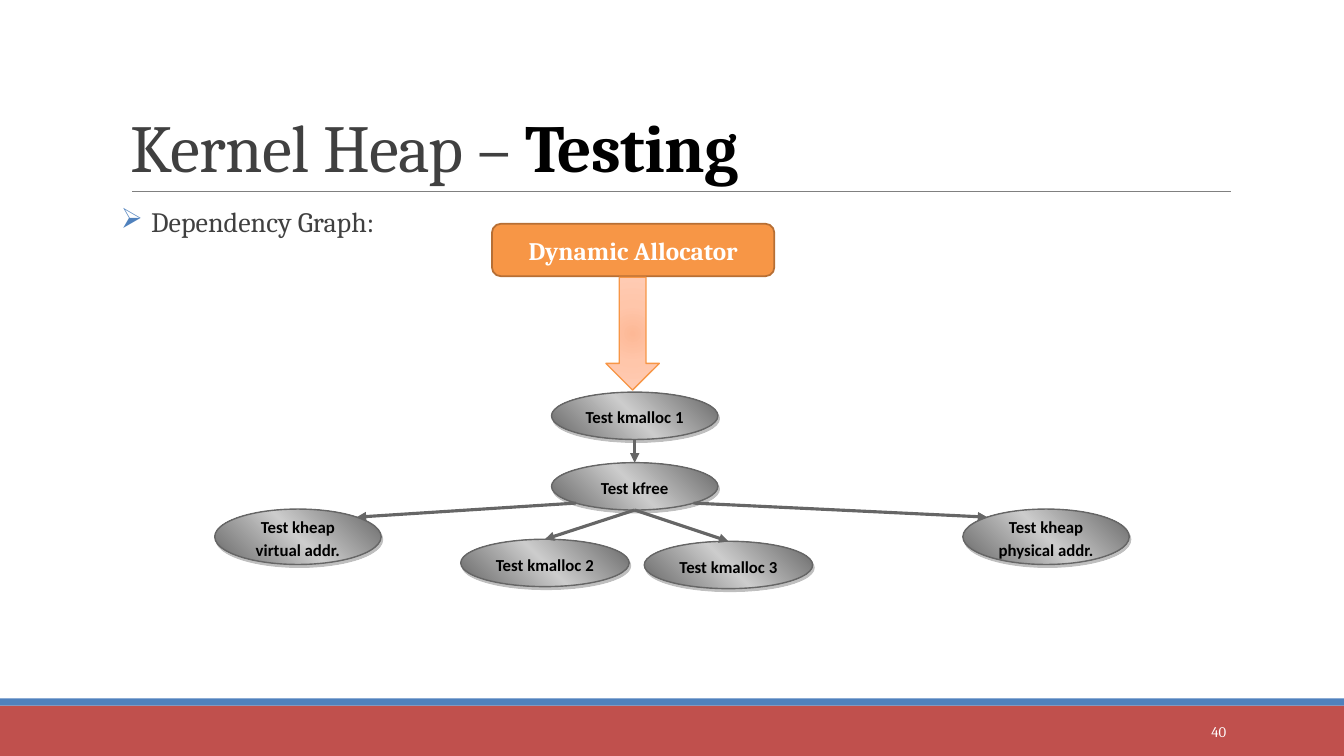
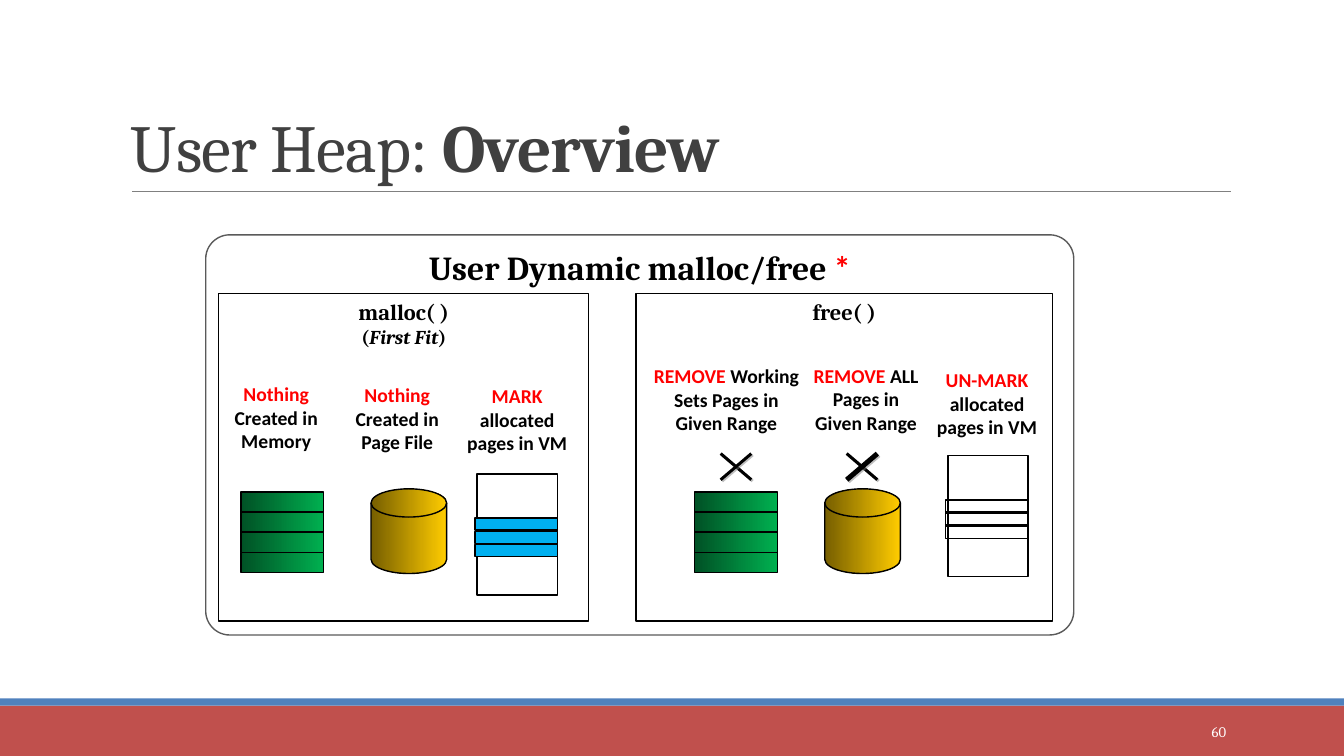
from math import cos, radians, sin

from lxml.etree import SubElement
from pptx import Presentation
from pptx.dml.color import RGBColor
from pptx.enum.shapes import MSO_CONNECTOR, MSO_SHAPE
from pptx.enum.text import MSO_ANCHOR, PP_ALIGN
from pptx.oxml.ns import qn
from pptx.util import Pt

EMU_PER_PX = 9144
SLIDE_W, SLIDE_H = 1333, 750

WHITE = RGBColor(0xFF, 0xFF, 0xFF)
BLACK = RGBColor(0x00, 0x00, 0x00)
RED = RGBColor(0xFF, 0x00, 0x00)
INK = RGBColor(0x40, 0x40, 0x40)
BAND_RED = RGBColor(0xC0, 0x50, 0x4D)
BAND_BLUE = RGBColor(0x4F, 0x81, 0xBD)
RULE_GRAY = RGBColor(0x80, 0x80, 0x80)
CROSS_SHADOW = RGBColor(0x7F, 0x7F, 0x7F)
FRAME_GRAY = RGBColor(0x5A, 0x5A, 0x5A)
NODE_DARK = RGBColor(0x66, 0x66, 0x66)
NODE_LIGHT = RGBColor(0xCC, 0xCC, 0xCC)
ORANGE = RGBColor(0xF7, 0x96, 0x46)
ORANGE_EDGE = RGBColor(0xB7, 0x6F, 0x34)
MARK_BLUE = RGBColor(0x00, 0xB0, 0xF0)

NODE_STOPS = [(0, NODE_DARK), (50, NODE_LIGHT), (100, NODE_DARK)]
ARROW_STOPS = [(0, RGBColor(0xFD, 0xB8, 0x96)), (45, RGBColor(0xFF, 0xC6, 0xAA)),
               (100, RGBColor(0xFF, 0xCC, 0xB5))]
PAGE_STOPS = [(0, RGBColor(0x00, 0x51, 0x25)), (100, RGBColor(0x00, 0xB0, 0x50))]
DISK_STOPS = [(0, RGBColor(0x76, 0x5E, 0x00)), (100, RGBColor(0xFF, 0xCC, 0x00))]

HEAD_FONT, LABEL_FONT = "Cambria", "Calibri"


def px(*lengths):
    return [round(length * EMU_PER_PX) for length in lengths]


def add_box(slide, kind, box, fill=None, line=None, width=1):
    shape = slide.shapes.add_shape(kind, *px(*box))
    shape.shadow.inherit = False
    if fill is None:
        shape.fill.background()
    else:
        shape.fill.solid()
        shape.fill.fore_color.rgb = fill
    if line is None:
        shape.line.fill.background()
    else:
        shape.line.color.rgb = line
        shape.line.width = Pt(width)
    return shape


def shade(shape, stops, angle=0, radial=False):
    """Fill with a gradient; the angle runs clockwise."""
    shape.fill.gradient()
    gradient = shape._element.spPr.find(qn("a:gradFill"))
    stop_list = gradient.find(qn("a:gsLst"))
    for old_stop in list(stop_list):
        stop_list.remove(old_stop)
    for position, color in stops:
        stop = SubElement(stop_list, qn("a:gs"), pos=str(position * 1000))
        SubElement(stop, qn("a:srgbClr"), val=str(color))
    direction = gradient.find(qn("a:lin"))
    if radial:
        gradient.remove(direction)
        circle = SubElement(gradient, qn("a:path"), {"path": "circle"})
        SubElement(circle, qn("a:fillToRect"), {side: "50000" for side in "ltrb"})
    else:
        direction.set("ang", str(angle * 60000))


def cast_shadow(shape, color, distance, angle):
    effects = shape._element.spPr.find(qn("a:effectLst"))
    shadow = SubElement(effects, qn("a:outerShdw"), dist=str(Pt(distance)),
                        dir=str(angle * 60000), algn="ctr", rotWithShape="0")
    tint = SubElement(shadow, qn("a:srgbClr"), val=str(color))
    SubElement(tint, qn("a:alpha"), val="50000")


def write(shape, *paragraphs, size, color=BLACK, font=HEAD_FONT, bold=True,
          align=PP_ALIGN.CENTER, anchor=MSO_ANCHOR.TOP, inset=(10, 5), spacing=None):
    """Each paragraph is a list of (text, changes to the shared style)."""
    frame = shape.text_frame
    frame.word_wrap = True
    frame.vertical_anchor = anchor
    frame.margin_left = frame.margin_right = px(inset[0])[0]
    frame.margin_top = frame.margin_bottom = px(inset[1])[0]
    base = dict(size=size, color=color, font=font, bold=bold, italic=False)
    for index, parts in enumerate(paragraphs):
        paragraph = frame.add_paragraph() if index else frame.paragraphs[0]
        paragraph.alignment = align
        paragraph.line_spacing = spacing
        for text, changes in parts:
            style = {**base, **changes}
            run = paragraph.add_run()
            run.text = text
            run.font.name = style["font"]
            run.font.size = Pt(style["size"])
            run.font.bold = style["bold"]
            run.font.italic = style["italic"]
            run.font.color.rgb = style["color"]
    return frame


def add_text(slide, box, *paragraphs, **style):
    return write(slide.shapes.add_textbox(*px(*box)), *paragraphs, **style)


def add_line(slide, start, end, color, width):
    line = slide.shapes.add_connector(MSO_CONNECTOR.STRAIGHT, *px(*start, *end))
    line.line.color.rgb = color
    line.line.width = Pt(width)
    SubElement(line._element.spPr, qn("a:effectLst"))
    return line


def add_framed_slide(deck, title, number):
    """A slide with the shared bands, rule, title and page number."""
    slide = deck.slides.add_slide(deck.slide_layouts[6])
    add_box(slide, MSO_SHAPE.RECTANGLE, (0, 700, SLIDE_W, 50), BAND_RED)
    add_box(slide, MSO_SHAPE.RECTANGLE, (0, 693, SLIDE_W, 7), BAND_BLUE)
    add_line(slide, (131, 190), (1221, 190), RULE_GRAY, 0.5)
    heading = add_text(slide, (120, 31, 1100, 159), title, size=48, color=INK, bold=False,
                       align=PP_ALIGN.LEFT, anchor=MSO_ANCHOR.BOTTOM, spacing=0.85)
    for run in heading.paragraphs[0].runs:
        run.font._element.set("spc", "-50")
    add_text(slide, (1083, 706, 143, 40), [(number, {})], size=10.5, color=WHITE,
             bold=False, align=PP_ALIGN.RIGHT, anchor=MSO_ANCHOR.MIDDLE)
    return slide


def add_bullet(slide, box, text):
    frame = add_text(slide, box, [(text, {})], size=20, color=INK, bold=False,
                     align=PP_ALIGN.LEFT, inset=(0, 5), spacing=0.9)
    properties = frame.paragraphs[0]._p.get_or_add_pPr()
    hanging = px(30)[0]
    properties.set("marL", str(hanging))
    properties.set("indent", str(-hanging))
    tint = SubElement(properties, qn("a:buClr"))
    SubElement(tint, qn("a:srgbClr"), val=str(BAND_BLUE))
    SubElement(properties, qn("a:buChar"), char="➢")


def add_node(slide, box, label):
    node = add_box(slide, MSO_SHAPE.OVAL, box, NODE_DARK, NODE_DARK)
    shade(node, NODE_STOPS, 315)
    cast_shadow(node, RULE_GRAY, 2.2, 63)
    write(node, [(label, {})], size=12, font=LABEL_FONT, anchor=MSO_ANCHOR.MIDDLE,
          inset=(0, 0), spacing=1.15)
    return node


def oval_site(box, site):
    """Connection point of an oval: 0 is the top, then every 45° anticlockwise."""
    left, top, width, height = box
    angle = radians(-90 - 45 * site)
    return (left + width / 2 * (1 + cos(angle)), top + height / 2 * (1 + sin(angle)))


def add_dependency_graph(slide, left, top):
    boxes = {
        "Test kmalloc 1": (334, 0, 165, 47),
        "Test kfree": (334, 70, 165, 47),
        "Test kheap virtual addr.": (0, 116, 165, 55),
        "Test kheap physical addr.": (742, 116, 165, 55),
        "Test kmalloc 2": (244, 146, 167, 47),
        "Test kmalloc 3": (426, 148, 167, 47),
    }
    links = [
        ("Test kmalloc 1", 4, "Test kfree", 0),
        ("Test kfree", 3, "Test kheap virtual addr.", 7),
        ("Test kfree", 5, "Test kheap physical addr.", 1),
        ("Test kfree", 4, "Test kmalloc 2", 0),
        ("Test kfree", 4, "Test kmalloc 3", 0),
    ]
    boxes = {label: (left + x, top + y, w, h) for label, (x, y, w, h) in boxes.items()}
    nodes = {label: add_node(slide, box, label) for label, box in boxes.items()}
    for source, source_site, target, target_site in links:
        arrow = add_line(slide, oval_site(boxes[source], source_site),
                         oval_site(boxes[target], target_site), NODE_DARK, 2.25)
        SubElement(arrow.line._get_or_add_ln(), qn("a:tailEnd"), type="triangle")
        glue = arrow._element.find(".//" + qn("p:cNvCxnSpPr"))
        for tag, label, site in (("a:stCxn", source, source_site),
                                 ("a:endCxn", target, target_site)):
            SubElement(glue, qn(tag), id=str(nodes[label].shape_id), idx=str(site))


def build_testing_slide(deck):
    slide = add_framed_slide(
        deck, [("Kernel Heap – ", {}), ("Testing", dict(bold=True, color=BLACK))], "40")
    add_bullet(slide, (120, 202, 1100, 48), "Dependency Graph:")
    add_dependency_graph(slide, 213, 389)
    allocator = add_box(slide, MSO_SHAPE.ROUNDED_RECTANGLE, (488, 222, 280, 52),
                        ORANGE, ORANGE_EDGE, 1.25)
    write(allocator, [("Dynamic Allocator", {})], size=18, color=WHITE,
          anchor=MSO_ANCHOR.MIDDLE)
    down_arrow = add_box(slide, MSO_SHAPE.DOWN_ARROW, (601, 275, 53, 112), ORANGE, ORANGE)
    shade(down_arrow, ARROW_STOPS, radial=True)


def add_memory_pages(slide, left, top):
    for row in range(4):
        page = add_box(slide, MSO_SHAPE.RECTANGLE, (left, top + 20 * row, 82, 20),
                       WHITE, BLACK)
        shade(page, PAGE_STOPS)


def add_virtual_memory(slide, left, top, mark_fill):
    add_box(slide, MSO_SHAPE.RECTANGLE, (left, top, 80, 120), None, BLACK, 1.25)
    for row in range(3):
        add_box(slide, MSO_SHAPE.RECTANGLE, (left - 2, top + 44 + 13 * row, 82, 12),
                mark_fill, BLACK)


def add_cross(slide, center_x, center_y, thicknesses):
    for thickness, angle in zip(thicknesses, (40.5, 319.5)):
        stroke = add_box(slide, MSO_SHAPE.RECTANGLE,
                         (center_x - 20, center_y - thickness / 2, 40, thickness), BLACK)
        stroke.rotation = angle
        cast_shadow(stroke, CROSS_SHADOW, 1.4, 45)


def add_heap_panel(slide, box, heading, captions, pages_x, vm_at, mark_fill=None):
    """A call's panel: captions over memory pages, page file and virtual memory."""
    left, top = box[:2]
    panel = add_box(slide, MSO_SHAPE.RECTANGLE, box, WHITE, BLACK)
    write(panel, *heading, size=16, inset=(2, 5))
    disk = add_box(slide, MSO_SHAPE.FLOWCHART_MAGNETIC_DISK,
                   (left + pages_x + 129, top + 194, 75, 84), WHITE, BLACK)
    shade(disk, DISK_STOPS)
    add_memory_pages(slide, left + pages_x, top + 197)
    add_virtual_memory(slide, left + vm_at[0], top + vm_at[1], mark_fill)
    for (x, y, width, height), inset, action, rest in captions:
        add_text(slide, (left + x, top + y, width, height),
                 [(action, dict(color=RED)), (rest, {})],
                 size=14, font=LABEL_FONT, inset=(inset, inset))


def build_overview_slide(deck):
    slide = add_framed_slide(deck, [("User Heap: ", {}), ("Overview", dict(bold=True))], "60")
    frame = add_box(slide, MSO_SHAPE.ROUNDED_RECTANGLE, (204, 233, 861, 397),
                    WHITE, FRAME_GRAY)
    frame.adjustments[0] = 0.06
    write(frame, [("User Dynamic malloc/free ", {}),
                  ("*", dict(font=LABEL_FONT, color=RED))], size=24)
    add_heap_panel(
        slide, (217, 291, 367, 325),
        [[("malloc( )", {})],
         [("(", dict(size=14)), ("First Fit", dict(size=14, italic=True)),
          (")", dict(size=14))]],
        [((2, 84, 110, 94), 4, "Nothing", " Created in Memory"),
         ((113, 85, 128, 90), 4, "Nothing", " Created in Page File"),
         ((241, 86, 110, 94), 4, "MARK", " allocated pages in VM")],
        pages_x=22, vm_at=(256, 179), mark_fill=MARK_BLUE)
    add_heap_panel(
        slide, (631, 291, 413, 325), [[("free( )", {})]],
        [((16, 70, 147, 109), 0, "REMOVE", " Working Sets Pages in Given Range"),
         ((171, 70, 114, 83), 0, "REMOVE", " ALL Pages in Given Range"),
         ((293, 70, 110, 92), 4, "UN-MARK", " allocated pages in VM")],
        pages_x=58, vm_at=(309, 161))
    add_cross(slide, 730, 463, (3, 3))
    add_cross(slide, 855, 463, (3, 5))


def main():
    deck = Presentation()
    deck.slide_width, deck.slide_height = px(SLIDE_W, SLIDE_H)
    build_testing_slide(deck)
    build_overview_slide(deck)
    deck.save("out.pptx")


if __name__ == "__main__":
    main()
